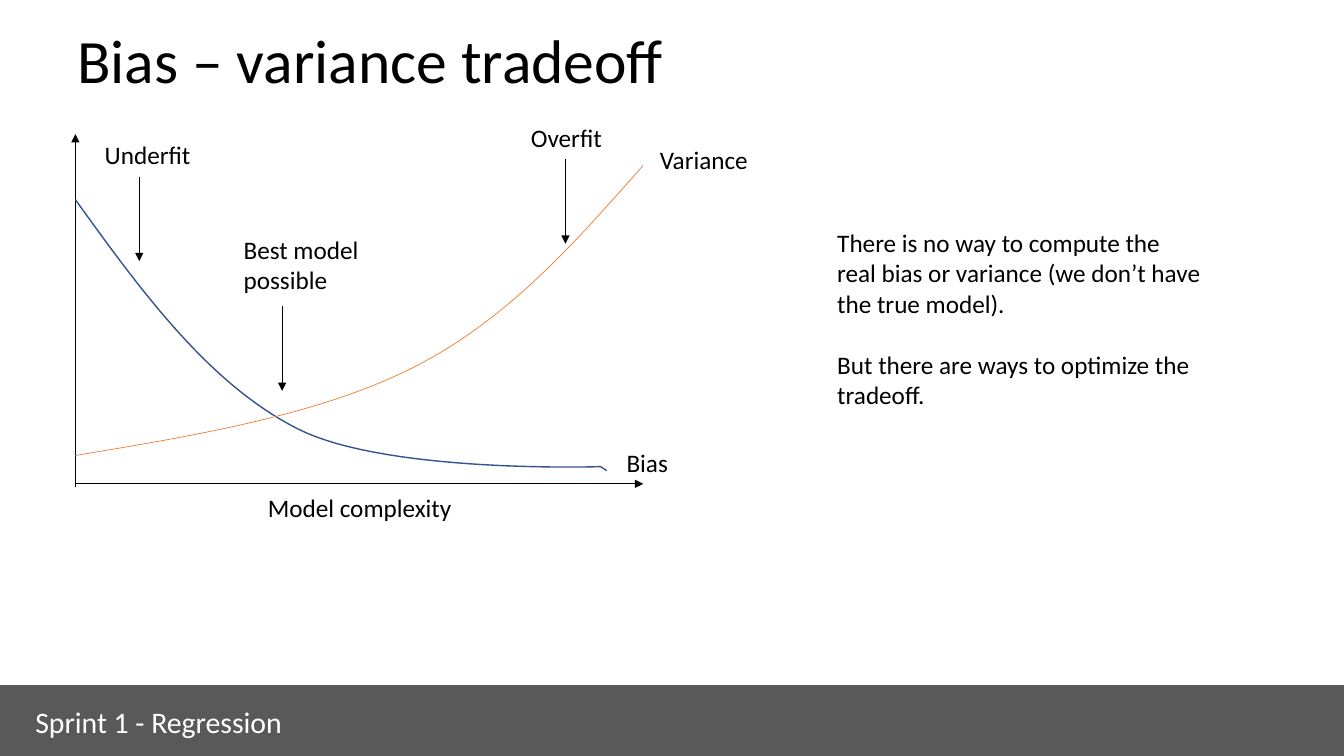
from dataclasses import dataclass

from lxml import etree
from pptx import Presentation
from pptx import util as u
from pptx.dml.color import RGBColor
from pptx.enum import shapes, text
from pptx.oxml.ns import qn

Point = tuple[float, float]

BLACK, WHITE, GREY = "000000", "FFFFFF", "595959"
BLUE, ORANGE = "325491", "ED7D31"
SLIDE_WIDTH, SLIDE_HEIGHT = 33.87, 19.05
AXIS_X, AXIS_Y = 1.9, 12.19
CURVE_END_X = 16.21
POINTER_LENGTH = 2.13
CURVE_STEPS = 30


@dataclass
class Label:
    wording: str
    left: float
    top: float
    width: float
    height: float = 1.02


@dataclass
class Curve:
    """A start point, cubic segments (two controls and an end), and a closing tail."""
    color: str
    weight: float
    start: Point
    segments: list[tuple[Point, Point, Point]]
    tail: list[Point]


LABELS = [
    Label("Model complexity", 6.5, 12.27, 5.23),
    Label("Bias", 15.54, 11.15, 4.5),
    Label("Variance", 16.38, 3.51, 3.76),
    Label("Best model possible", 5.89, 5.77, 4.34, 1.8),
    Label("Underfit", 2.39, 3.38, 4.34),
    Label("Overfit", 13.13, 2.97, 4.34),
]
POINTER_STARTS = [(7.11, 7.72), (3.51, 4.45), (14.25, 4.01)]
CURVES = [
    Curve(BLUE, 1, (AXIS_X, 5.03),
          [((3.58, 7.37), (5.28, 9.68), (7.49, 10.8)),
           ((9.7, 11.94), (15.14, 11.76), (15.14, 11.76))],
          [(15.29, 11.86)]),
    Curve(ORANGE, 0.5, (AXIS_X, 11.48),
          [((4.95, 10.97), (8.05, 10.46), (10.44, 9.25)),
           ((12.83, 8.03), (14.5, 6.1), (CURVE_END_X, 4.17))],
          []),
]


def rgb(color: str) -> RGBColor:
    return RGBColor.from_string(color)


def add_text(slide, wording: str, left: float, top: float, width: float, height: float, *,
             size: float = 18, color: str = BLACK, anchor=text.MSO_ANCHOR.TOP,
             line_spacing: float = 1.0, gap: float = 0) -> None:
    """Add a text box; each line of wording is a paragraph, gap points apart."""
    frame = slide.shapes.add_textbox(u.Cm(left), u.Cm(top), u.Cm(width), u.Cm(height)).text_frame
    frame.word_wrap = True
    frame.vertical_anchor = anchor
    frame.text = wording
    for index, paragraph in enumerate(frame.paragraphs):
        paragraph.line_spacing = line_spacing
        if index:
            paragraph.space_before = u.Pt(gap)
        paragraph.font.name = "Calibri"
        paragraph.font.size = u.Pt(size)
        paragraph.font.color.rgb = rgb(color)


def add_arrow(slide, start: Point, end: Point) -> None:
    arrow = slide.shapes.add_connector(
        shapes.MSO_CONNECTOR.STRAIGHT, *(u.Cm(value) for value in (*start, *end)))
    arrow.line.color.rgb = rgb(BLACK)
    arrow.line.width = u.Pt(0.5)
    etree.SubElement(arrow.line._get_or_add_ln(), qn("a:tailEnd"), type="triangle")
    etree.SubElement(arrow._element.spPr, qn("a:effectLst"))


def bezier(start: Point, first: Point, second: Point, end: Point) -> list[Point]:
    """Return points along a cubic curve, without its start."""
    points = []
    for step in range(1, CURVE_STEPS + 1):
        t = step / CURVE_STEPS
        weights = ((1 - t) ** 3, 3 * t * (1 - t) ** 2, 3 * t ** 2 * (1 - t), t ** 3)
        x, y = (sum(w * value for w, value in zip(weights, values))
                for values in zip(start, first, second, end))
        points.append((x, y))
    return points


def add_curve(slide, curve: Curve) -> None:
    points = [curve.start]
    for segment in curve.segments:
        points += bezier(points[-1], *segment)
    points += curve.tail
    start, *rest = [(u.Cm(x), u.Cm(y)) for x, y in points]
    builder = slide.shapes.build_freeform(*start)
    builder.add_line_segments(rest, close=False)
    outline = builder.convert_to_shape()
    outline.shadow.inherit = False
    outline.fill.background()
    outline.line.color.rgb = rgb(curve.color)
    outline.line.width = u.Pt(curve.weight)


def add_footer(slide) -> None:
    top = 17.27
    band = slide.shapes.add_shape(
        shapes.MSO_SHAPE.RECTANGLE, 0, u.Cm(top), u.Cm(SLIDE_WIDTH), u.Cm(SLIDE_HEIGHT - top))
    band.shadow.inherit = False
    band.fill.solid()
    band.fill.fore_color.rgb = rgb(GREY)
    band.line.color.rgb = rgb(GREY)
    band.line.width = u.Pt(1)
    add_text(slide, "Sprint 1 - Regression", 0.64, 17.6, 8.53, 1.17, size=21.3, color=WHITE)


def main() -> None:
    deck = Presentation()
    deck.slide_width, deck.slide_height = u.Cm(SLIDE_WIDTH), u.Cm(SLIDE_HEIGHT)
    slide = deck.slides.add_slide(deck.slide_layouts[6])

    add_text(slide, "Bias – variance tradeoff", 1.7, 0, 30.48, 3.18, size=44,
             anchor=text.MSO_ANCHOR.MIDDLE, line_spacing=0.9)
    add_footer(slide)

    add_arrow(slide, (AXIS_X, 12.27), (AXIS_X, 3.38))
    add_arrow(slide, (AXIS_X, AXIS_Y), (CURVE_END_X, AXIS_Y))
    for curve in CURVES:
        add_curve(slide, curve)
    for x, y in POINTER_STARTS:
        add_arrow(slide, (x, y), (x, y + POINTER_LENGTH))
    for label in LABELS:
        add_text(slide, label.wording, label.left, label.top, label.width, label.height)

    add_text(slide,
             "There is no way to compute the real bias or variance "
             "(we don’t have the true model).\n"
             "But there are ways to optimize the tradeoff.",
             20.85, 5.61, 9.7, 4.88, gap=22)
    deck.save("out.pptx")


if __name__ == "__main__":
    main()
